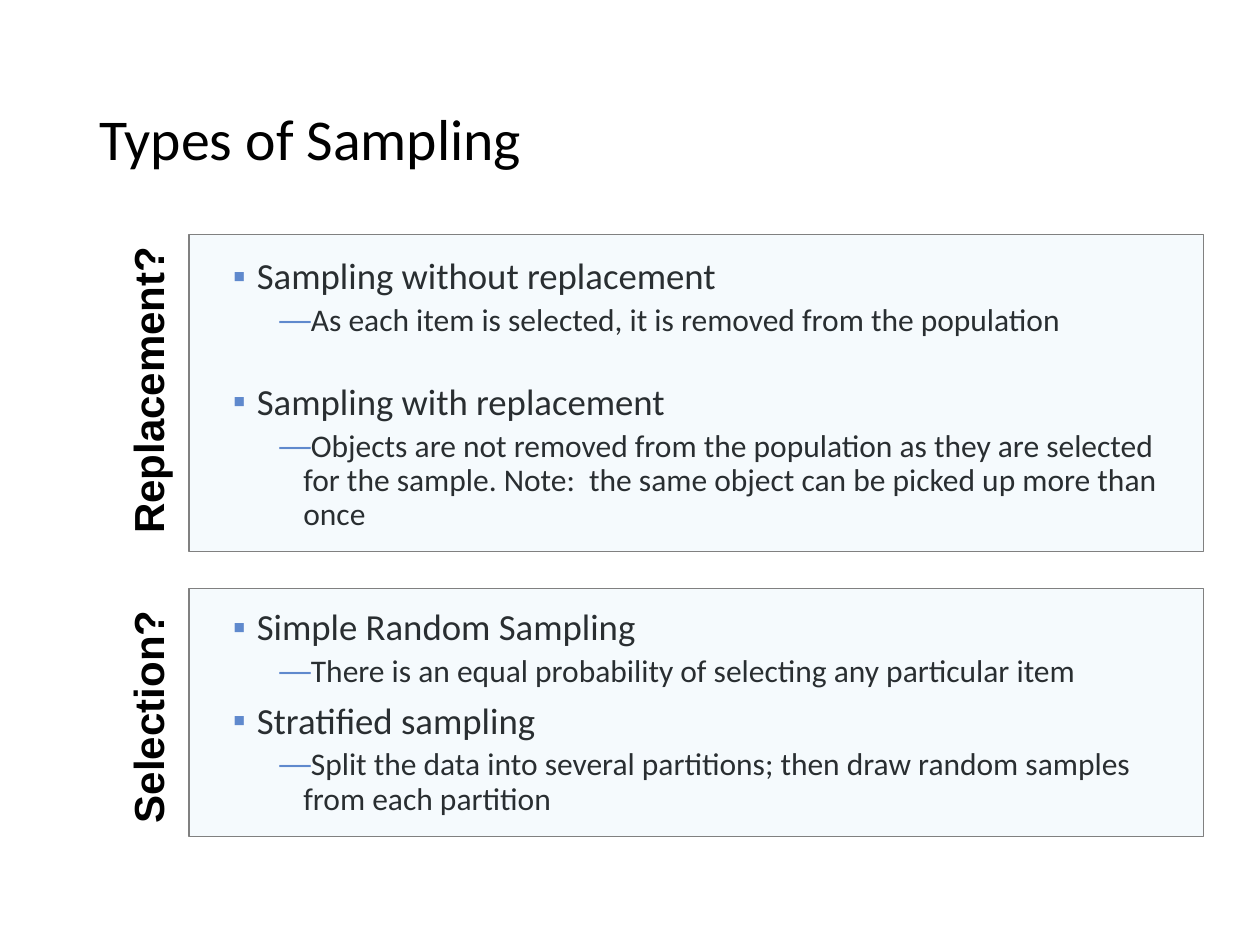
from lxml import etree
from pptx import Presentation, util as u
from pptx.dml.color import RGBColor
from pptx.enum import shapes, text
from pptx.oxml.ns import qn

Inches, Pt = u.Inches, u.Pt
COLORS = {"ink": "000000", "bullet": "4472C4", "panel": "CFE7F5", "border": "808080"}
PANEL_OPACITY = 20

# level, space before in points, wording
POINTS = [
    (0, 0, "Sampling without replacement"),
    (1, 3.8, "As each item is selected, it is removed from the population"),
    (0, 25.8, "Sampling with replacement"),
    (1, 3.8, "Objects are not removed from the population as they are selected "
             "for the sample. Note:  the same object can be picked up more than once"),
    (0, 43.9, "Simple Random Sampling"),
    (1, 3.8, "There is an equal probability of selecting any particular item"),
    (0, 7.5, "Stratified sampling"),
    (1, 3.8, "Split the data into several partitions; then draw random samples "
             "from each partition"),
]
# bullet, left margin in inches, text size for each level
LEVELS = [("▪", 0.19, 21), ("—", 0.56, 18)]
HANGING = 0.19

# question, panel top and height, label centre and length
QUESTIONS = [
    ("Replacement?", 1.86, 2.52, 3.1, 2.47),
    ("Selection?", 4.67, 1.97, 5.69, 1.88),
]


def color(name):
    return RGBColor.from_string(COLORS[name])


def style(paragraph, size, face="Calibri", bold=False):
    for run in paragraph.runs:
        run.font.size = Pt(size)
        run.font.name = face
        run.font.bold = bold
        run.font.color.rgb = color("ink")


def add_bullet(paragraph, char, margin):
    props = paragraph._p.get_or_add_pPr()
    props.set("marL", str(Inches(margin)))
    props.set("indent", str(-Inches(HANGING)))
    bullet_color = etree.SubElement(props, qn("a:buClr"))
    etree.SubElement(bullet_color, qn("a:srgbClr"), val=COLORS["bullet"])
    etree.SubElement(props, qn("a:buFont"), typeface="Arial")
    etree.SubElement(props, qn("a:buChar"), char=char)


def add_title(slide, left, top, width, height):
    title = slide.shapes.add_textbox(Inches(left), Inches(top), Inches(width), Inches(height))
    frame = title.text_frame
    frame.word_wrap = True
    frame.vertical_anchor = text.MSO_ANCHOR.MIDDLE
    frame.text = "Types of Sampling"
    frame.paragraphs[0].line_spacing = 0.9
    style(frame.paragraphs[0], 33)


def add_points(slide, left, top, width, height):
    body = slide.shapes.add_textbox(Inches(left), Inches(top), Inches(width), Inches(height))
    frame = body.text_frame
    frame.word_wrap = True
    for index, (level, space_before, wording) in enumerate(POINTS):
        point = frame.add_paragraph() if index else frame.paragraphs[0]
        char, margin, size = LEVELS[level]
        point.text = wording
        point.level = level
        add_bullet(point, char, margin)
        point.line_spacing = 0.9
        point.space_before = Pt(space_before)
        style(point, size)


def add_panel(slide, left, top, width, height):
    """Tinted see-through box that lies over the points."""
    panel = slide.shapes.add_shape(shapes.MSO_SHAPE.RECTANGLE, Inches(left), Inches(top),
                                   Inches(width), Inches(height))
    panel.shadow.inherit = False
    panel.fill.solid()
    panel.fill.fore_color.rgb = color("panel")
    tint = panel.fill._xPr.find(qn("a:solidFill"))[0]
    etree.SubElement(tint, qn("a:alpha"), val=str(PANEL_OPACITY * 1000))
    panel.line.color.rgb = color("border")
    panel.line.width = Pt(0.75)


def add_label(slide, question, center_x, center_y, length, thickness=0.5):
    """Question that reads upwards beside its panel, on a single line."""
    label = slide.shapes.add_textbox(Inches(center_x - length / 2),
                                     Inches(center_y - thickness / 2),
                                     Inches(length), Inches(thickness))
    label.rotation = 270
    frame = label.text_frame
    frame.word_wrap = True
    frame.margin_right = 0
    frame.text = question
    style(frame.paragraphs[0], 24, "Arial", bold=True)


def main():
    deck = Presentation()
    deck.slide_width, deck.slide_height = Inches(10), Inches(7.5)
    slide = deck.slides.add_slide(deck.slide_layouts[6])
    add_title(slide, 0.69, 0.4, 8.62, 1.45)
    add_points(slide, 1.75, 2, 7.56, 4.76)
    for _, top, height, _, _ in QUESTIONS:
        add_panel(slide, 1.5, top, 8.05, height)
    for question, _, _, center_y, length in QUESTIONS:
        add_label(slide, question, 1.17, center_y, length)
    deck.save("out.pptx")


if __name__ == "__main__":
    main()
